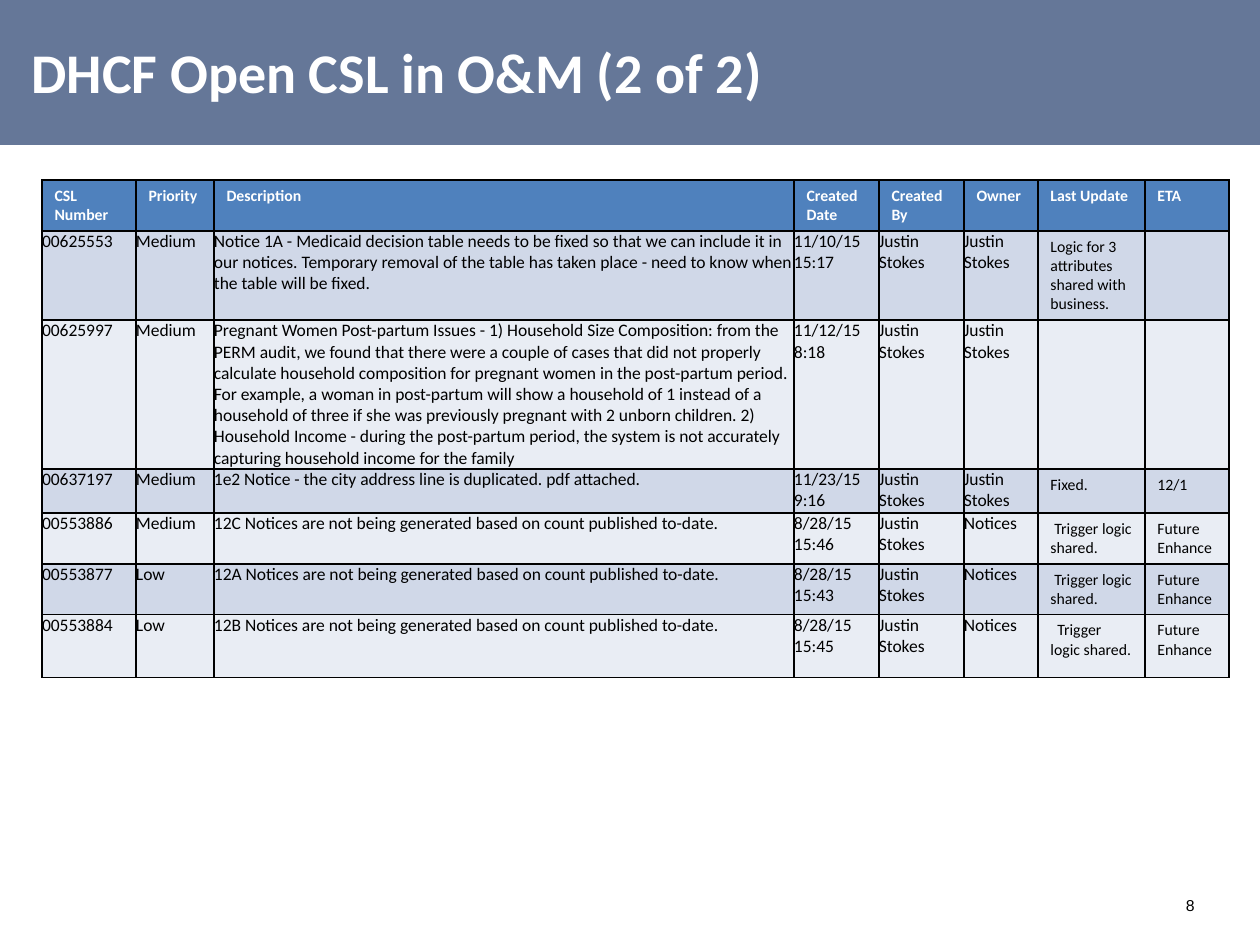
from lxml import etree
from pptx import Presentation
from pptx.dml.color import RGBColor
from pptx.enum.shapes import MSO_SHAPE
from pptx.enum.text import MSO_ANCHOR, MSO_AUTO_SIZE, PP_ALIGN
from pptx.oxml.ns import qn
from pptx.util import Emu, Pt

RECTANGLE = MSO_SHAPE.RECTANGLE
MIDDLE, BOTTOM = MSO_ANCHOR.MIDDLE, MSO_ANCHOR.BOTTOM
LEFT, RIGHT = PP_ALIGN.LEFT, PP_ALIGN.RIGHT
NO_FIT = MSO_AUTO_SIZE.NONE
TITLE_ONLY = 5
PX_PER_INCH = 126
EMU_PER_INCH = 914400

COLUMN_WIDTHS = [94, 78, 580, 85, 85, 74, 107, 84]
ROW_HEIGHTS = [47, 53, 42, 44, 47, 47, 63]
FLUSH_COLUMNS = 6  # the first columns of the body have no cell margins
HEADERS = ["CSL Number", "Priority", "Description", "Created Date",
           "Created By", "Owner", "Last Update", "ETA"]
ISSUES = [
    ["00625553", "Medium",
     "Notice 1A - Medicaid decision table needs to be fixed so that we can "
     "include it in our notices. Temporary removal of the table has taken "
     "place - need to know when the table will be fixed.",
     "11/10/15 15:17", "Justin Stokes", "Justin Stokes",
     "Logic for 3 attributes shared with business.", ""],
    ["00625997", "Medium",
     "Pregnant Women Post-partum Issues - 1) Household Size Composition: from "
     "the PERM audit, we found that there were a couple of cases that did not "
     "properly calculate household composition for pregnant women in the "
     "post-partum period. For example, a woman in post-partum will show a "
     "household of 1 instead of a household of three if she was previously "
     "pregnant with 2 unborn children. 2) Household Income - during the "
     "post-partum period, the system is not accurately capturing household "
     "income for the family",
     "11/12/15 8:18", "Justin Stokes", "Justin Stokes", "", ""],
    ["00637197", "Medium",
     "1e2 Notice - the city address line is duplicated. pdf attached.",
     "11/23/15 9:16", "Justin Stokes", "Justin Stokes", "Fixed.", "12/1"],
    ["00553886", "Medium",
     "12C Notices are not being generated based on count published to-date.",
     "8/28/15 15:46", "Justin Stokes", "Notices",
     "Trigger logic shared.", "Future\nEnhance"],
    ["00553877", "Low",
     "12A Notices are not being generated based on count published to-date.",
     "8/28/15 15:43", "Justin Stokes", "Notices",
     "Trigger logic shared.", "Future Enhance"],
    ["00553884", "Low",
     "12B Notices are not being generated based on count published to-date.",
     "8/28/15 15:45", "Justin Stokes", "Notices",
     "Trigger logic shared.", "Future\nEnhance"],
]
# First-line indents by row and column
INDENTS = {(4, 6): 4, (5, 6): 4, (6, 6): 7}


def px(length):
    return Emu(round(length * EMU_PER_INCH / PX_PER_INCH))


def color(value):
    return RGBColor.from_string(value)


class SlideBuilder:
    font = "Calibri"
    white, black = "FFFFFF", "000000"
    band, header, stripes = "657798", "4F81BD", ["D0D8E8", "E9EDF4"]

    def __init__(self, deck):
        self.page = deck.slides.add_slide(deck.slide_layouts[TITLE_ONLY])

    def format_text(self, frame, size, ink, bold=False, font=None, align=LEFT):
        for para in frame.paragraphs:
            para.alignment = align
            for span in para.runs:
                span.font.name = font or self.font
                span.font.size = Pt(size)
                span.font.bold = bold
                span.font.color.rgb = color(ink)

    def add_band(self, left, top, width, height):
        band = self.page.shapes.add_shape(
            RECTANGLE, px(left), px(top), px(width), px(height))
        band.shadow.inherit = False
        band.fill.solid()
        band.fill.fore_color.rgb = color(self.band)
        band.line.fill.background()
        # Keep the band behind the title
        self.page.shapes._spTree.insert(2, band._element)

    def add_title(self, text, left, top, width, height):
        title = self.page.shapes.title
        title.left, title.top = px(left), px(top)
        title.width, title.height = px(width), px(height)
        frame = title.text_frame
        frame.text = text
        frame.auto_size = NO_FIT
        frame.vertical_anchor = BOTTOM
        self.format_text(frame, 32, self.white, bold=True)

    def add_page_number(self, text, left, top, width, height):
        box = self.page.shapes.add_textbox(
            px(left), px(top), px(width), px(height))
        frame = box.text_frame
        frame.text = text
        frame.word_wrap = True
        frame.vertical_anchor = MIDDLE
        self.format_text(frame, 9, self.black, font="Arial", align=RIGHT)

    def add_borders(self, cell):
        properties = cell._tc.get_or_add_tcPr()
        for side in ("a:lnL", "a:lnR", "a:lnT", "a:lnB"):
            line = etree.SubElement(properties, qn(side), w=str(Pt(1)))
            fill = etree.SubElement(line, qn("a:solidFill"))
            etree.SubElement(fill, qn("a:srgbClr"), val=self.black)

    def fill_cell(self, cell, text, row, column):
        is_header = row == 0
        is_flush = not is_header and column < FLUSH_COLUMNS
        self.add_borders(cell)
        cell.fill.solid()
        cell.fill.fore_color.rgb = color(
            self.header if is_header else self.stripes[(row - 1) % 2])
        if is_flush:
            cell.margin_left = cell.margin_right = 0
            cell.margin_top = cell.margin_bottom = 0
        cell.text_frame.text = text
        self.format_text(cell.text_frame, 10 if is_flush else 9,
                         self.white if is_header else self.black, is_header)
        if (row, column) in INDENTS:
            para = cell.text_frame.paragraphs[0]
            para._p.get_or_add_pPr().set(
                "indent", str(px(INDENTS[row, column])))

    def add_table(self, rows, left, top, widths, heights):
        table = self.page.shapes.add_table(
            len(rows), len(widths), px(left), px(top),
            px(sum(widths)), px(sum(heights))).table
        table.horz_banding = False
        for column, width in zip(table.columns, widths):
            column.width = px(width)
        for row, height in zip(table.rows, heights):
            row.height = px(height)
        for r, texts in enumerate(rows):
            for c, text in enumerate(texts):
                self.fill_cell(table.cell(r, c), text, r, c)


def main():
    deck = Presentation()
    deck.slide_width, deck.slide_height = px(1260), px(945)
    builder = SlideBuilder(deck)

    # Header band and title
    builder.add_band(0, 0, 1260, 145)
    builder.add_title("DHCF Open CSL in O&M (2 of 2)", 19, 32, 954, 79)

    # Open issues
    builder.add_table([HEADERS] + ISSUES, 42, 180, COLUMN_WIDTHS, ROW_HEIGHTS)

    # Footer
    builder.add_page_number("8", 1135, 880, 72, 50)
    deck.save("out.pptx")


if __name__ == "__main__":
    main()
